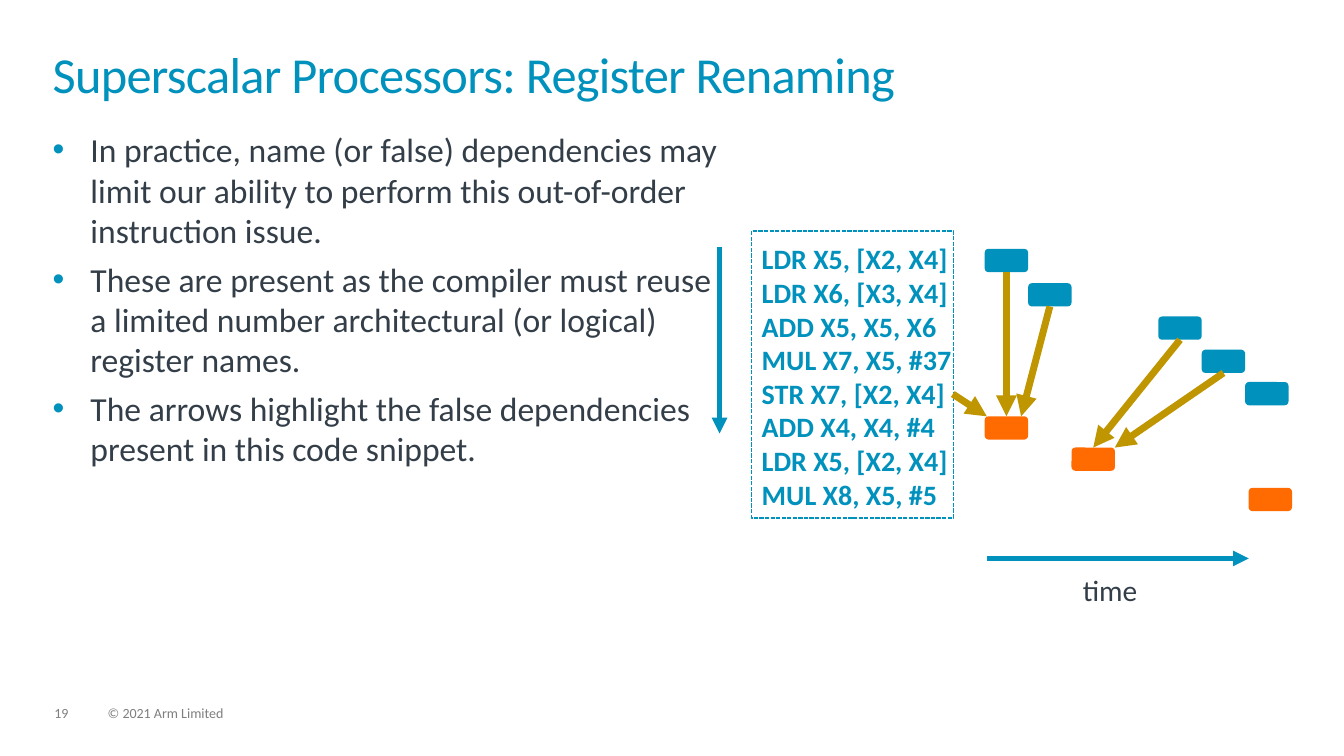
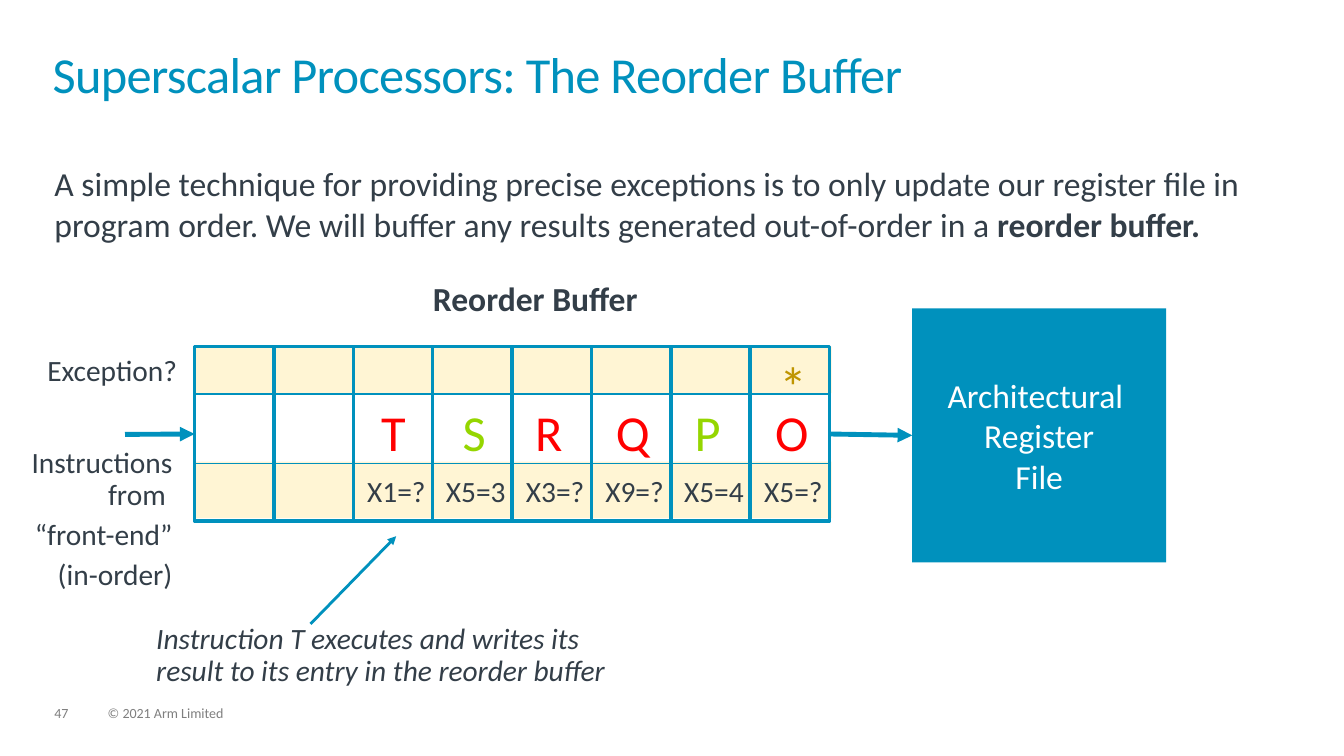
"""Build two slides on register renaming and the reorder buffer."""
from lxml import etree
from pptx import Presentation
from pptx.dml.color import RGBColor
from pptx.enum.dml import MSO_LINE
from pptx.enum.shapes import MSO_CONNECTOR, MSO_SHAPE
from pptx.enum.text import MSO_ANCHOR, PP_ALIGN
from pptx.oxml.ns import qn
from pptx.util import Pt

STRAIGHT = MSO_CONNECTOR.STRAIGHT
RECT, ROUNDED = MSO_SHAPE.RECTANGLE, MSO_SHAPE.ROUNDED_RECTANGLE
LEFT, CENTER, RIGHT = PP_ALIGN.LEFT, PP_ALIGN.CENTER, PP_ALIGN.RIGHT
TOP, MIDDLE = MSO_ANCHOR.TOP, MSO_ANCHOR.MIDDLE
DASHED = MSO_LINE.SQUARE_DOT
SIDE_TOP, SIDE_LEFT, SIDE_BOTTOM, SIDE_RIGHT = range(4)

BLUE = RGBColor(0x00, 0x91, 0xBD)
ORANGE = RGBColor(0xFF, 0x6B, 0x00)
GOLD = RGBColor(0xBF, 0x95, 0x00)
CREAM = RGBColor(0xFF, 0xF4, 0xCC)
RED = RGBColor(0xFF, 0x00, 0x00)
GREEN = RGBColor(0x95, 0xD6, 0x00)
SLATE = RGBColor(0x33, 0x3E, 0x48)
GRAY = RGBColor(0x7F, 0x7F, 0x7F)
WHITE = RGBColor(0xFF, 0xFF, 0xFF)
FONT = "Calibri"


def add_box(slide, box, text="", *, kind=None, fill=None, alpha=None, line=None,
            weight=1, dash=None, size=21, color=SLATE, bold=False, italic=False,
            align=LEFT, anchor=TOP, inset=(0, 0), leading=0.9, before=0, after=6,
            tracking=None, bullet=False):
    """Add a text box or preset shape; ** in the text switches bold."""
    area = [Pt(value) for value in box]
    if kind is None:
        shape = slide.shapes.add_textbox(*area)
    else:
        shape = slide.shapes.add_shape(kind, *area)
        shape.shadow.inherit = False
        if fill is None:
            shape.fill.background()
        else:
            shape.fill.solid()
            shape.fill.fore_color.rgb = fill
        if alpha is not None:
            tint = shape.fill._xPr.find(".//" + qn("a:srgbClr"))
            etree.SubElement(tint, qn("a:alpha"), val=str(alpha * 1000))
        if line is None:
            shape.line.fill.background()
        else:
            shape.line.color.rgb = line
            shape.line.width = Pt(weight)
            shape.line.dash_style = dash
    if not text:
        return shape
    frame = shape.text_frame
    frame.word_wrap = True
    frame.vertical_anchor = anchor
    frame.margin_left = frame.margin_right = Pt(inset[0])
    frame.margin_top = frame.margin_bottom = Pt(inset[1])
    for index, content in enumerate(text.split("\n")):
        paragraph = frame.add_paragraph() if index else frame.paragraphs[0]
        paragraph.alignment = align
        paragraph.line_spacing = leading
        paragraph.space_before = Pt(before if index else 0)
        paragraph.space_after = Pt(after)
        if bullet:
            properties = paragraph._p.get_or_add_pPr()
            properties.set("marL", str(Pt(27)))
            properties.set("indent", str(Pt(-27)))
            tone = etree.SubElement(properties, qn("a:buClr"))
            etree.SubElement(tone, qn("a:srgbClr"), val=str(BLUE))
            etree.SubElement(properties, qn("a:buFont"), typeface="Arial")
            etree.SubElement(properties, qn("a:buChar"), char="•")
        for part, words in enumerate(content.split("**")):
            if not words:
                continue
            run = paragraph.add_run()
            run.text = words
            run.font.name = FONT
            run.font.size = Pt(size)
            run.font.color.rgb = color
            run.font.bold = bold or part % 2 == 1
            run.font.italic = italic
            if tracking is not None:
                run._r.get_or_add_rPr().set("spc", str(int(tracking * 100)))
    return shape


def add_line(slide, start, end, weight, color=BLUE, arrow=True, source=None, target=None):
    """Add a line; source and target are optional (shape, side) joints."""
    line = slide.shapes.add_connector(STRAIGHT, *[Pt(value) for value in (*start, *end)])
    line.line.color.rgb = color
    line.line.width = Pt(weight)
    if arrow:
        etree.SubElement(line.line._get_or_add_ln(), qn("a:tailEnd"), type="triangle")
    etree.SubElement(line._element.spPr, qn("a:effectLst"))
    if source:
        line.begin_connect(*source)
    if target:
        line.end_connect(*target)


deck = Presentation()
deck.slide_width, deck.slide_height = Pt(960), Pt(540)
slides = []
for number, title in (
    ("19", "Superscalar Processors: Register Renaming"),
    ("47", "Superscalar Processors: The Reorder Buffer"),
):
    slide = deck.slides.add_slide(deck.slide_layouts[6])
    add_box(slide, (38.9, 504.7, 24.5, 10.8), number, size=10, color=GRAY)
    add_box(slide, (77, 504.7, 365, 10.8), "© 2021 Arm Limited", size=10, color=GRAY)
    add_box(slide, (37.6, 37.6, 884, 52), title, size=36, color=BLUE, leading=0.85,
            after=0, tracking=-0.5)
    slides.append(slide)
renaming, reorder = slides

add_box(renaming, (37.6, 92.2, 481, 389.5),
        "In practice, name (or false) dependencies may limit our ability to perform "
        "this out-of-order instruction issue.\n"
        "These are present as the compiler must reuse a limited number architectural "
        "(or logical) register names.\n"
        "The arrows highlight the false dependencies present in this code snippet.",
        size=24, leading=1, before=6, after=0, bullet=True)
add_box(renaming, (537, 169.2, 166.3, 201),
        "LDR X5, [X2, X4]\nLDR X6, [X3, X4]\nADD X5, X5, X6\nMUL X7, X5, #37\n"
        "STR X7, [X2, X4]\nADD X4, X4, #4\nLDR X5, [X2, X4]\nMUL X8, X5, #5",
        size=20, color=BLUE, bold=True, inset=(7.2, 3.6), leading=1, after=0)
add_box(renaming, (537, 165, 144, 205), kind=RECT, line=BLUE, dash=DASHED)

SLOT = 31
instructions = []
for slot, top, fill in (
    (0, 177.8, BLUE), (1, 202.3, BLUE), (4, 226.1, BLUE), (5, 249.8, BLUE),
    (6, 272.9, BLUE), (0, 297.4, ORANGE), (2, 319.7, ORANGE), (6.08, 348.5, ORANGE),
):
    instructions.append(add_box(renaming, (703.4 + slot * SLOT, top, SLOT, 16.6),
                                kind=ROUNDED, fill=fill))
bottoms = [(block, SIDE_BOTTOM) for block in instructions]
tops = [(block, SIDE_TOP) for block in instructions]

add_line(renaming, (704.9, 398.9), (892, 398.9), 3.75)
add_box(renaming, (773.5, 411.8, 108.7, 23), "time")
add_line(renaming, (514, 176.4), (514, 309.6), 3.75)
for start, end, source, target in (
    ((718.9, 194.4), (718.9, 297.4), bottoms[0], tops[5]),
    ((749.9, 218.9), (729.4, 297.4), bottoms[1], None),
    ((680.6, 281.5), (704.9, 297.4), None, None),
    ((843.5, 242.7), (780.9, 319.7), bottoms[2], tops[6]),
    ((874.5, 266.4), (796.3, 319.7), bottoms[3], None),
):
    add_line(renaming, start, end, 5, GOLD, source=source, target=target)

BUFFER_LEFT, BUFFER_TOP, BUFFER_WIDTH, BUFFER_HEIGHT = 139, 247.7, 453.6, 124.6
BUFFER_RIGHT, BUFFER_BOTTOM = BUFFER_LEFT + BUFFER_WIDTH, BUFFER_TOP + BUFFER_HEIGHT
ENTRIES = 8
ENTRY_WIDTH = BUFFER_WIDTH / ENTRIES

for top, height in ((329.8, 40.3), (BUFFER_TOP, 33.1)):
    add_box(reorder, (BUFFER_LEFT, top, 455, height), kind=RECT, fill=CREAM, alpha=83)
add_box(reorder, (38.9, 116.6, 880.6, 322),
        "A simple technique for providing precise exceptions is to only update our "
        "register file in program order. We will buffer any results generated "
        "out-of-order in a **reorder buffer.**",
        size=24, leading=1, after=0)
register_file = add_box(reorder, (651.6, 220.3, 181.4, 181.4),
                        "Architectural \nRegister\nFile", kind=RECT, fill=BLUE, size=24,
                        color=WHITE, align=CENTER, anchor=MIDDLE, leading=1, after=0)
buffer_outline = add_box(reorder, (BUFFER_LEFT, BUFFER_TOP, BUFFER_WIDTH, BUFFER_HEIGHT),
                         kind=RECT, line=BLUE, weight=2.5)
for entry in range(1, ENTRIES):
    x = BUFFER_LEFT + entry * ENTRY_WIDTH
    add_line(reorder, (x, BUFFER_TOP), (x, BUFFER_BOTTOM), 2.5, arrow=False)
for y in (281.5, 331.2):
    add_line(reorder, (BUFFER_LEFT, y), (BUFFER_RIGHT, y), 1, arrow=False)
add_line(reorder, (BUFFER_RIGHT, 310), (651.6, 311), 3.5,
         source=(buffer_outline, SIDE_RIGHT), target=(register_file, SIDE_LEFT))
add_line(reorder, (89.3, 310.3), (BUFFER_LEFT, 310), 3.5,
         target=(buffer_outline, SIDE_LEFT))
add_line(reorder, (221.8, 445.7), (283, 383), 2)

for entry, (letter, letter_left, color, result) in enumerate((
    ("T", 272.2, RED, "X1=?"), ("S", 330.5, GREEN, "X5=3"), ("R", 382.3, RED, "X3=?"),
    ("Q", 439.9, RED, "X9=?"), ("P", 496.1, GREEN, "X5=4"), ("O", 553.7, RED, "X5=?"),
), start=2):
    add_box(reorder, (letter_left, 291.6, 34, 39.6), letter, size=36, color=color)
    result_left = BUFFER_LEFT + entry * ENTRY_WIDTH + 2.3
    add_box(reorder, (result_left, 340.6, 56.9, 23), result, align=CENTER)

add_box(reorder, (193.7, 201.6, 377.3, 26), "Reorder Buffer", size=24, bold=True,
        align=CENTER)
add_box(reorder, (556.6, 256.3, 48.2, 44), "*", size=40, color=GOLD)
add_box(reorder, (33.8, 254.2, 111.6, 23), "Exception?")
add_box(reorder, (11.5, 320.4, 111.6, 103.7),
        "Instructions from \n“front-end”\n(in-order)", align=RIGHT)
add_box(reorder, (111.6, 445.7, 352.8, 46),
        "Instruction T executes and writes its result to its entry in the reorder buffer",
        italic=True)

deck.save("out.pptx")
